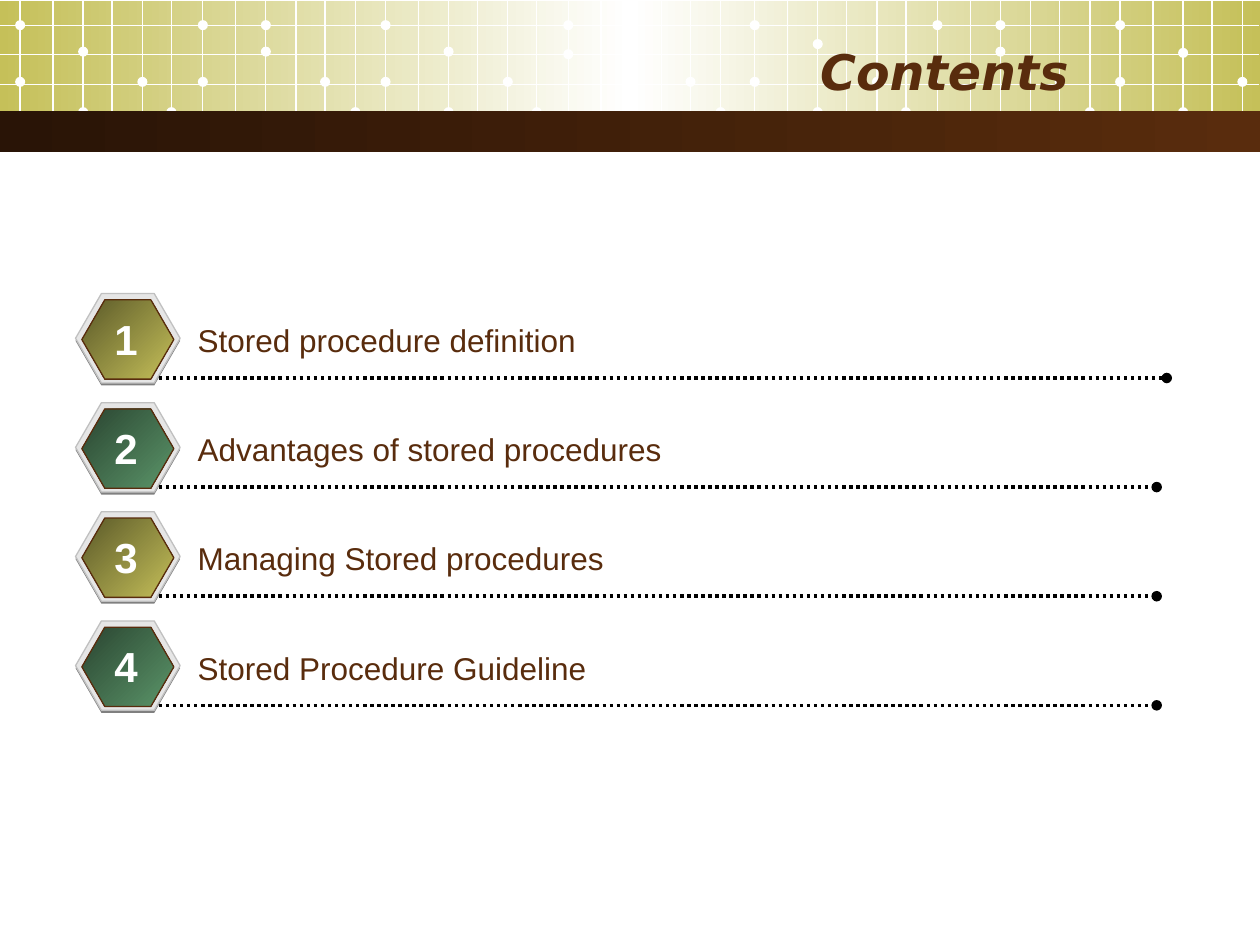
from copy import deepcopy
from pptx import Presentation
from pptx.dml.color import RGBColor
from pptx.enum.dml import MSO_LINE
from pptx.enum.shapes import MSO_CONNECTOR, MSO_SHAPE
from pptx.enum.text import MSO_ANCHOR, MSO_AUTO_SIZE, PP_ALIGN
from pptx.oxml.ns import qn
from pptx.oxml.xmlchemy import OxmlElement
from pptx.util import Inches, Pt

RECT, OVAL, HEX = MSO_SHAPE.RECTANGLE, MSO_SHAPE.OVAL, MSO_SHAPE.HEXAGON
STRAIGHT, DOTTED = MSO_CONNECTOR.STRAIGHT, MSO_LINE.ROUND_DOT
LEFT, MID, RIGHT = PP_ALIGN.LEFT, PP_ALIGN.CENTER, PP_ALIGN.RIGHT
MIDDLE, TOP = MSO_ANCHOR.MIDDLE, MSO_ANCHOR.TOP
GROW = MSO_AUTO_SIZE.SHAPE_TO_FIT_TEXT

THEME = {
    "brown": "592C0D", "dark": "291406", "gold": "C5C059", "white": "FFFFFF",
    "black": "000000", "shade": "808080", "rim": "E6E6E6", "edge": "C0C0C0",
    "olive": ("5B5929", "C5C059"), "green": ("2A4531", "5B9569"),
    "head": "DejaVu Sans", "body": "Arial",
    "title": 28, "item": 18, "digit": 24, "thin": 0.75, "rule": 2,
}

TITLE = "Contents"
ITEMS = [
    ("Stored procedure definition", 5.31, 9.26),
    ("Advantages of stored procedures", 6.44, 9.18),
    ("Managing Stored procedures", 7.64, 9.18),
    ("Stored Procedure Guideline", 7.78, 9.18),
]
FIRST, PITCH = 2.33, 0.866

TILES = [(0.16, 0.37, 0.61), (3.06, 0.37, 0.39), (5.99, 0.31, 0.47), (8.89, 0.38, 0.47)]
COLS = [0, 0.26, 0.5, 0.73, 0.97, 1.2, 1.45, 1.71, 1.95, 2.19, 2.42, 2.66]
ROWS = [0.2, 0.43, 0.67]
DOT = 0.08

prs = Presentation()
prs.slide_width, prs.slide_height = Inches(10), Inches(7.5)
slide = prs.slides.add_slide(prs.slide_layouts[5])
shapes = slide.shapes


def rgb(name):
    return RGBColor.from_string(THEME.get(name, name))


def blend(shape, tones, angle):
    shape.fill.gradient()
    shape.fill.gradient_angle = angle
    stops = shape.element.find(".//" + qn("a:gsLst"))
    for _ in tones[2:]:
        stops.append(deepcopy(stops[0]))
    for i, (stop, tone) in enumerate(zip(shape.fill.gradient_stops, tones)):
        stop.color.rgb = rgb(tone)
        stop.position = i / (len(tones) - 1)


def draw(kind, x, y, w, h, fill, line=None, angle=0):
    shape = shapes.add_shape(kind, Inches(x), Inches(y), Inches(w), Inches(h))
    shape.shadow.inherit = False
    if kind == HEX:
        shape.adjustments[0] = 0.289
    if isinstance(fill, tuple):
        blend(shape, fill, angle)
    else:
        shape.fill.solid()
        shape.fill.fore_color.rgb = rgb(fill)
    if line:
        shape.line.color.rgb = rgb(line)
        shape.line.width = Pt(THEME["thin"])
    else:
        shape.line.fill.background()


def link(x1, y1, x2, y2, tone, width, dots=False):
    line = shapes.add_connector(STRAIGHT, Inches(x1), Inches(y1), Inches(x2), Inches(y2))
    line.line.color.rgb = rgb(tone)
    line.line.width = Pt(THEME[width])
    if dots:
        line.line.dash_style = DOTTED
        tail = OxmlElement("a:tailEnd")
        tail.set("type", "oval")
        line.line._get_or_add_ln().append(tail)
    line.element.spPr.append(OxmlElement("a:effectLst"))


def write(text, x, y, w, h, box=None, size="item", font="body", tone="brown",
          align=LEFT, anchor=TOP, bold=False, slant=False, wrap=True):
    if box is None:
        box = shapes.add_textbox(0, 0, 0, 0)
        box.text_frame.auto_size = GROW
    box.left, box.top, box.width, box.height = map(Inches, (x, y, w, h))
    frame = box.text_frame
    frame.word_wrap, frame.vertical_anchor = wrap, anchor
    para = frame.paragraphs[0]
    para.alignment = align
    run = para.add_run()
    run.text = text
    run.font.name, run.font.size = THEME[font], Pt(THEME[size])
    run.font.bold, run.font.italic = bold, slant
    run.font.color.rgb = rgb(tone)


def banner():
    draw(RECT, 0, 0.01, 10, 1.02, ("gold", "white", "gold"))
    for left, low, mid in TILES:
        spots = [(0, 0.16), (0, 0.61), (0.5, low), (0.5, 0.85), (0.97, 0.61),
                 (1.2, 0.85), (1.45, 0.16), (1.45, mid), (1.95, 0.16),
                 (1.95, 0.37), (2.42, 0.61), (2.66, 0.85)]
        for dx, y in spots:
            if left + dx < 10:
                draw(OVAL, left + dx - DOT / 2, y, DOT, DOT, "white")
        for dx in COLS:
            if left + dx < 10:
                link(left + dx, 0, left + dx, 1.1, "white", "thin")
    for y in ROWS:
        link(0, y, 9.99, y, "white", "thin")
    draw(RECT, 0, 0.88, 10, 0.33, ("dark", "brown"))
    title = shapes.title
    title.element.getparent().append(title.element)
    write(TITLE, 0.5, 0.25, 8.08, 0.62, box=title, size="title", font="head",
          align=RIGHT, anchor=MIDDLE, bold=True, slant=True)


def entry(i, text, width, end):
    y = FIRST + i * PITCH
    tones = THEME["green" if i % 2 else "olive"]
    draw(HEX, 0.6, y + 0.02, 0.83, 0.71, "shade")
    draw(HEX, 0.6, y, 0.83, 0.71, "rim", "edge")
    draw(HEX, 0.65, y + 0.05, 0.73, 0.63, tones, "brown", 315)
    link(1.26, y + 0.67, end, y + 0.67, "black", "rule", dots=True)
    write(text, 1.47, y + 0.17, width, 0.4)
    write(str(i + 1), 0.81, y + 0.11, 0.38, 0.5, size="digit", tone="white",
          align=MID, bold=True, wrap=False)


banner()
for i, item in enumerate(ITEMS):
    entry(i, *item)
prs.save("out.pptx")
